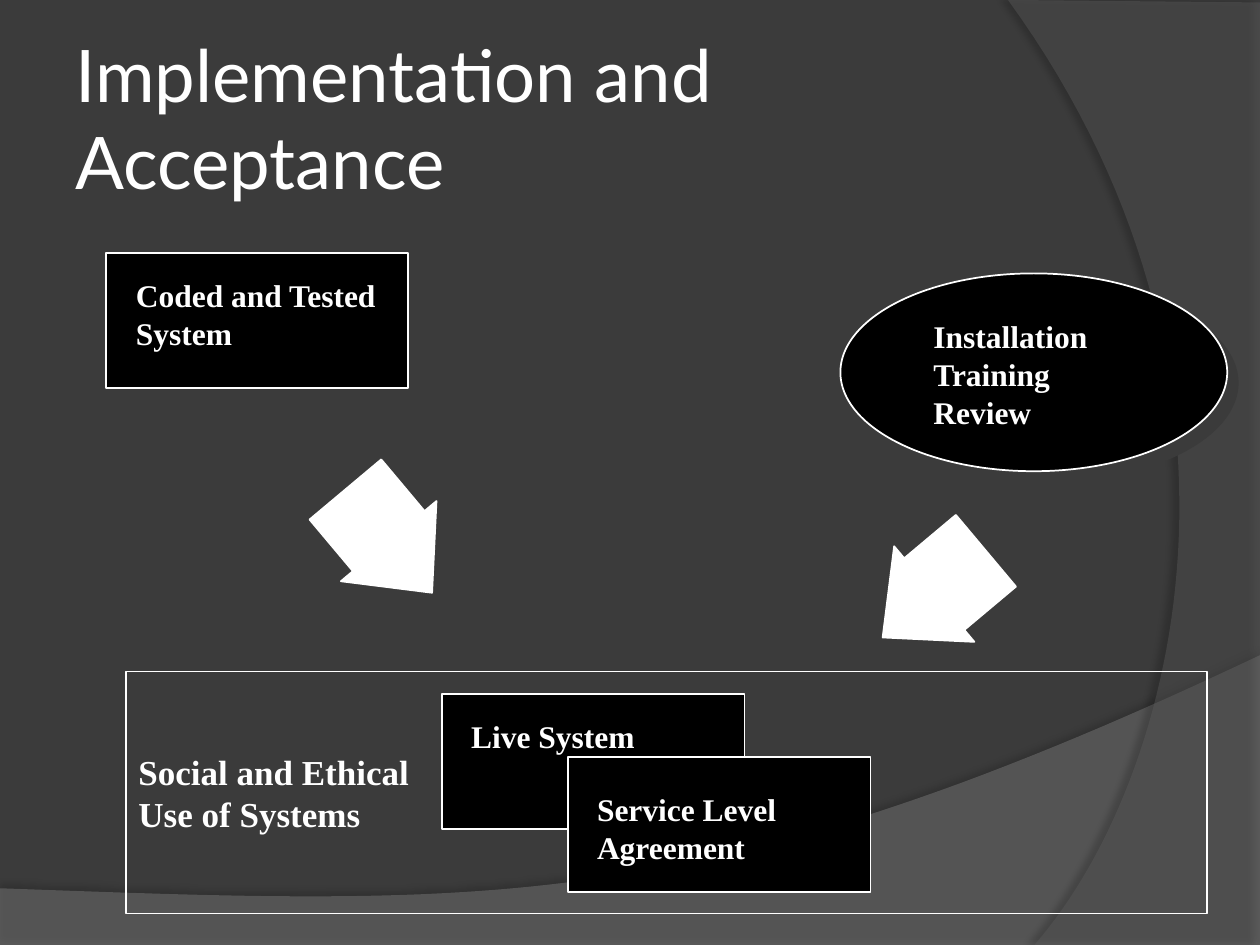
from lxml import etree
from pptx import Presentation
from pptx.dml.color import RGBColor
from pptx.enum.shapes import MSO_SHAPE
from pptx.enum.text import MSO_ANCHOR, MSO_AUTO_SIZE, PP_ALIGN
from pptx.oxml.ns import qn
from pptx.util import Inches, Pt

RECTANGLE, OVAL, ARROW = MSO_SHAPE.RECTANGLE, MSO_SHAPE.OVAL, MSO_SHAPE.RIGHT_ARROW
TOP, MIDDLE = MSO_ANCHOR.TOP, MSO_ANCHOR.MIDDLE
LEFT = PP_ALIGN.LEFT
NO_FIT, GROW = MSO_AUTO_SIZE.NONE, MSO_AUTO_SIZE.SHAPE_TO_FIT_TEXT

COLORS = {
    "background": "3B3B3B",
    "wave": "7F7F7F",
    "arc": "5E5E5E",
    "box": "000000",
    "light": "FFFFFF",
}
TITLE_FONT, BODY_FONT = "Lato", "Times New Roman"
BOX_SIZE = (2.4, 1.07)
ARROW_SIZE = (1.07, 0.99)


def rgb(name):
    return RGBColor.from_string(COLORS[name])


def write_text(frame, text, *, font=BODY_FONT, size=18, bold=True,
               color="light", anchor=TOP, wrap=True, fit=NO_FIT):
    """Fill a text frame, one paragraph for each line of text."""
    frame.text = text
    frame.word_wrap = wrap
    frame.auto_size = fit
    frame.vertical_anchor = anchor
    frame.margin_left = frame.margin_right = Inches(0.1)
    frame.margin_top = frame.margin_bottom = Inches(0.05)
    for paragraph in frame.paragraphs:
        paragraph.alignment = LEFT
        for run in paragraph.runs:
            run.font.name = font
            run.font.size = Pt(size)
            run.font.bold = bold
            run.font.color.rgb = rgb(color)


def curve(p0, p1, p2, p3, steps=60):
    """Points along a cubic Bezier curve, without its start."""
    points = []
    for i in range(1, steps + 1):
        t = i / steps
        weights = ((1 - t) ** 3, 3 * t * (1 - t) ** 2, 3 * t * t * (1 - t), t ** 3)
        points.append(tuple(sum(w * p[axis] for w, p in zip(weights, (p0, p1, p2, p3)))
                            for axis in (0, 1)))
    return points


class SlideBuilder:
    def __init__(self, slide):
        self.slide = slide
        self.shapes = slide.shapes
        slide.background.fill.solid()
        slide.background.fill.fore_color.rgb = rgb("background")

    def style(self, shape, fill=None, line=None, weight=1):
        shape.shadow.inherit = False
        if fill:
            shape.fill.solid()
            shape.fill.fore_color.rgb = rgb(fill)
        else:
            shape.fill.background()
        if line:
            shape.line.color.rgb = rgb(line)
            shape.line.width = Pt(weight)
        else:
            shape.line.fill.background()

    def add_shadow(self, shape, color, alpha, blur, distance, angle):
        effects = shape._element.spPr.find(qn("a:effectLst"))
        shadow = etree.SubElement(
            effects, qn("a:outerShdw"), blurRad=str(Pt(blur)), dist=str(Pt(distance)),
            dir=str(angle * 60000), algn="ctr", rotWithShape="0")
        tint = etree.SubElement(shadow, qn("a:srgbClr"), val=COLORS[color])
        etree.SubElement(tint, qn("a:alpha"), val=str(alpha * 1000))

    def swoosh(self, points, fill, alpha, shadow):
        path = [(Inches(x), Inches(y)) for x, y in points]
        builder = self.shapes.build_freeform(*path[0])
        builder.add_line_segments(path[1:], close=True)
        shape = builder.convert_to_shape()
        self.style(shape, fill)
        tint = shape._element.spPr.find(qn("a:solidFill"))[0]
        etree.SubElement(tint, qn("a:alpha"), val=str(alpha * 1000))
        self.add_shadow(shape, *shadow)

    def title(self, text, left, top, width, height):
        title = self.shapes.title
        title.left, title.top = Inches(left), Inches(top)
        title.width, title.height = Inches(width), Inches(height)
        write_text(title.text_frame, text, font=TITLE_FONT, size=41.4,
                   bold=False, anchor=MIDDLE)
        # Bring the title in front of the backdrop
        self.shapes._spTree.append(title._element)

    def shape(self, kind, left, top, width, height, fill="box", weight=1):
        shape = self.shapes.add_shape(kind, Inches(left), Inches(top),
                                      Inches(width), Inches(height))
        self.style(shape, fill, "light", weight)
        return shape

    def arrow(self, left, top, angle):
        arrow = self.shape(ARROW, left, top, *ARROW_SIZE, fill="light")
        arrow.adjustments[0], arrow.adjustments[1] = 0.75, 0.54
        arrow.rotation = angle

    def label(self, text, left, top, width, height):
        label = self.shapes.add_textbox(Inches(left), Inches(top),
                                        Inches(width), Inches(height))
        write_text(label.text_frame, text, wrap=False, fit=GROW)


def main():
    prs = Presentation()
    prs.slide_width, prs.slide_height = Inches(10), Inches(7.5)
    page = SlideBuilder(prs.slides.add_slide(prs.slide_layouts[5]))

    # Backdrop curves
    wave = [(0, 7.05), (0, 7.51), (10, 7.51), (10, 5.2)]
    wave += curve((10, 5.2), (5.59, 7.29), (3.91, 7.19), (0, 7.05))
    page.swoosh(wave, "wave", 45, ("box", 35, 4, 3.5, 270))
    arc = [(10, 0.02), (10, 7.5), (8.21, 7.5)]
    arc += curve((8.21, 7.5), (9.35, 6.19), (10.18, 3), (8, 0))
    page.swoosh(arc, "arc", 40, ("box", 45, 4, 4, 180))

    page.title("Implementation and Acceptance", 0.5, 0.3, 8.17, 1.25)

    # Input: the finished system
    page.shape(RECTANGLE, 0.84, 2.01, *BOX_SIZE)
    page.label("Coded and Tested\nSystem", 0.98, 2.14, 2.14, 0.71)

    # Outputs: overlapping boxes
    page.shape(RECTANGLE, 3.51, 5.51, *BOX_SIZE)
    page.shape(RECTANGLE, 4.51, 6.01, *BOX_SIZE)
    page.label("Live System", 3.64, 5.64, 1.51, 0.41)
    page.label("Service Level\nAgreement", 4.64, 6.22, 1.7, 0.71)

    # Activities
    activities = page.shape(OVAL, 6.67, 2.17, 3.07, 1.57)
    page.add_shadow(activities, "background", 100, 0, 8.5, 45)
    page.label("Installation\nTraining\nReview", 7.31, 2.47, 1.43, 1.01)

    # Arrows towards the outputs
    page.arrow(2.55, 3.8, 50)
    page.arrow(6.88, 4.22, 140)

    # Frame around the outputs
    context = page.shape(RECTANGLE, 1, 5.33, 8.58, 1.92, fill=None, weight=0.75)
    write_text(context.text_frame, "Social and Ethical\nUse of Systems",
               size=20, anchor=MIDDLE)

    prs.save("out.pptx")


if __name__ == "__main__":
    main()
